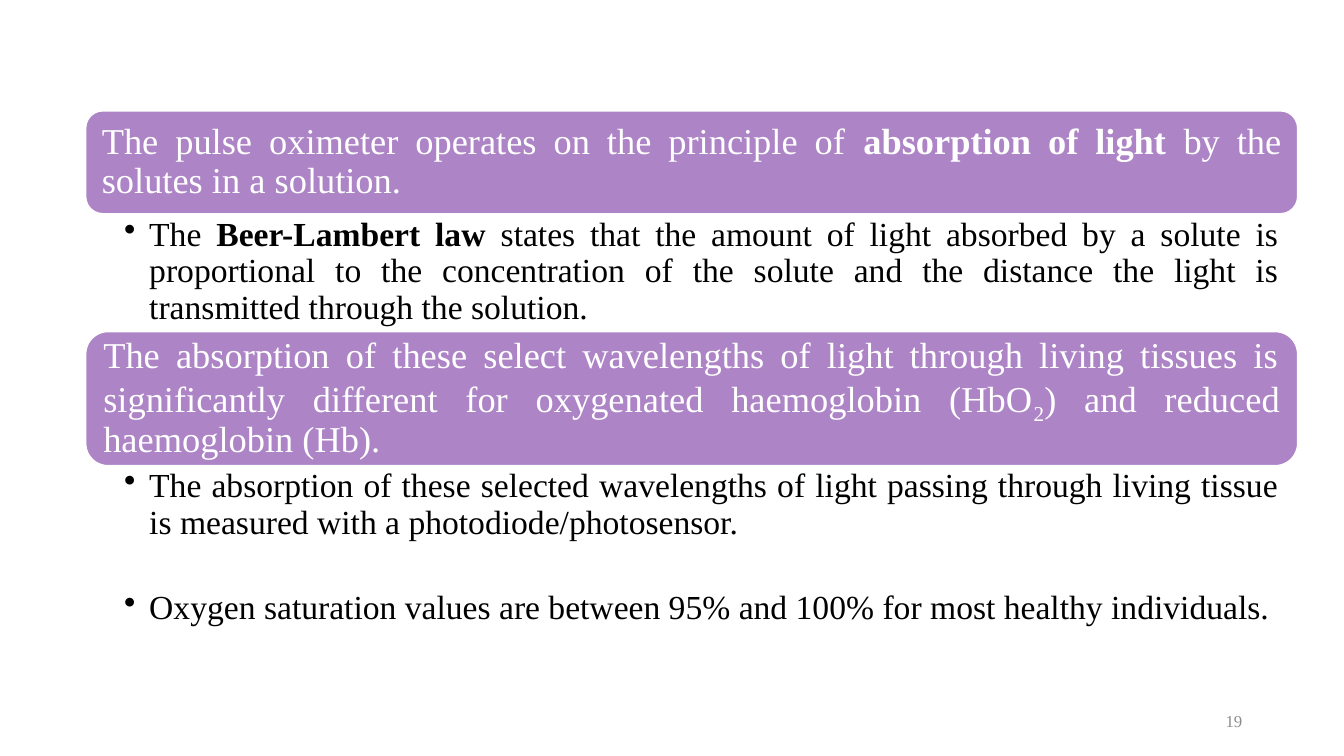
import pptx
import pptx.dml.color
import pptx.enum.shapes
import pptx.enum.text
import pptx.oxml.ns
import pptx.util
from lxml import etree
from pptx.util import Inches

COLOURS = {"banner": "AD84C6", "white": "FFFFFF", "black": "000000", "grey": "8C8C8C"}
FONT = "Times New Roman"
LEFT, WIDTH = 0.85, 12.02
ALIGN = pptx.enum.text.PP_ALIGN
ANCHOR = pptx.enum.text.MSO_ANCHOR


def rgb(name):
    return pptx.dml.color.RGBColor.from_string(COLOURS[name])


def apply(target, formats):
    for name, value in formats.items():
        setattr(target, name, value)


def set_frame(frame, insets, anchor):
    sides = ("margin_left", "margin_top", "margin_right", "margin_bottom")
    margins = {side: Inches(inset) for side, inset in zip(sides, insets)}
    apply(frame, {"word_wrap": True, "vertical_anchor": anchor, **margins})


def write_runs(paragraph, runs, size, colour, align=ALIGN.JUSTIFY, spacing=0.9):
    """Each run is a text with the style "", "bold" or "sub"."""
    apply(paragraph, {"alignment": align, "line_spacing": spacing})
    for text, style in runs:
        run = paragraph.add_run()
        run.text = text
        apply(run.font, {"name": FONT, "size": pptx.util.Pt(size), "bold": style == "bold"})
        run.font.color.rgb = rgb(colour)
        if style == "sub":
            run.font._element.set("baseline", "-25000")


def add_bullet(paragraph):
    properties = paragraph._p.get_or_add_pPr()
    properties.set("marL", str(Inches(0.25)))
    properties.set("indent", str(-Inches(0.25)))
    bullet = etree.SubElement(properties, pptx.oxml.ns.qn("a:buChar"))
    bullet.set("char", "•")


def add_banner(slide, top, height, runs):
    banner = slide.shapes.add_shape(
        pptx.enum.shapes.MSO_SHAPE.ROUNDED_RECTANGLE,
        Inches(LEFT), Inches(top), Inches(WIDTH), Inches(height))
    banner.shadow.inherit = False
    banner.fill.solid()
    banner.fill.fore_color.rgb = rgb("banner")
    banner.line.color.rgb = rgb("white")
    banner.line.width = pptx.util.Pt(1)
    set_frame(banner.text_frame, [0.11] * 4, ANCHOR.MIDDLE)
    write_runs(banner.text_frame.paragraphs[0], runs, 26, "white")


def add_bullets(slide, top, height, items, gap=0):
    box = slide.shapes.add_textbox(Inches(LEFT), Inches(top), Inches(WIDTH), Inches(height))
    frame = box.text_frame
    set_frame(frame, (0.38, 0.03, 0.19, 0.03), ANCHOR.TOP)
    for index, runs in enumerate(items):
        paragraph = frame.add_paragraph() if index else frame.paragraphs[0]
        add_bullet(paragraph)
        write_runs(paragraph, runs, 24, "black")
        if index:
            paragraph.space_before = pptx.util.Pt(gap)


def add_page_number(slide, number):
    box = slide.shapes.add_textbox(Inches(9.42), Inches(6.95), Inches(3), Inches(0.4))
    set_frame(box.text_frame, (0.1, 0.05, 0.1, 0.05), ANCHOR.MIDDLE)
    write_runs(box.text_frame.paragraphs[0], [(number, "")], 12, "grey", ALIGN.RIGHT, 1.0)


def main():
    deck = pptx.Presentation()
    deck.slide_width, deck.slide_height = Inches(13.33), Inches(7.5)
    slide = deck.slides.add_slide(deck.slide_layouts[6])

    add_page_number(slide, "19")

    # Principle of operation
    add_banner(slide, 1.1, 1.02, [
        ("The pulse oximeter operates on the principle of ", ""),
        ("absorption of light", "bold"),
        (" by the solutes in a solution.", "")])
    add_bullets(slide, 2.13, 1.16, [[
        ("The ", ""),
        ("Beer-Lambert law ", "bold"),
        ("states that the amount of light absorbed by a solute is proportional to the "
         "concentration of the solute and the distance the light is transmitted "
         "through the solution.", "")]])

    # Absorption in living tissue
    add_banner(slide, 3.29, 1.33, [
        ("The absorption of these select wavelengths of light through living tissues is "
         "significantly different for oxygenated haemoglobin (HbO", ""),
        ("2", "sub"),
        (") and reduced haemoglobin (Hb).", "")])
    add_bullets(slide, 4.62, 1.63, [
        [("The absorption of these selected wavelengths of light passing through living "
          "tissue is measured with a photodiode/photosensor.", "")],
        [("Oxygen saturation values are between 95% and 100% for most healthy "
          "individuals.", "")]], gap=35)

    deck.save("out.pptx")


if __name__ == "__main__":
    main()
